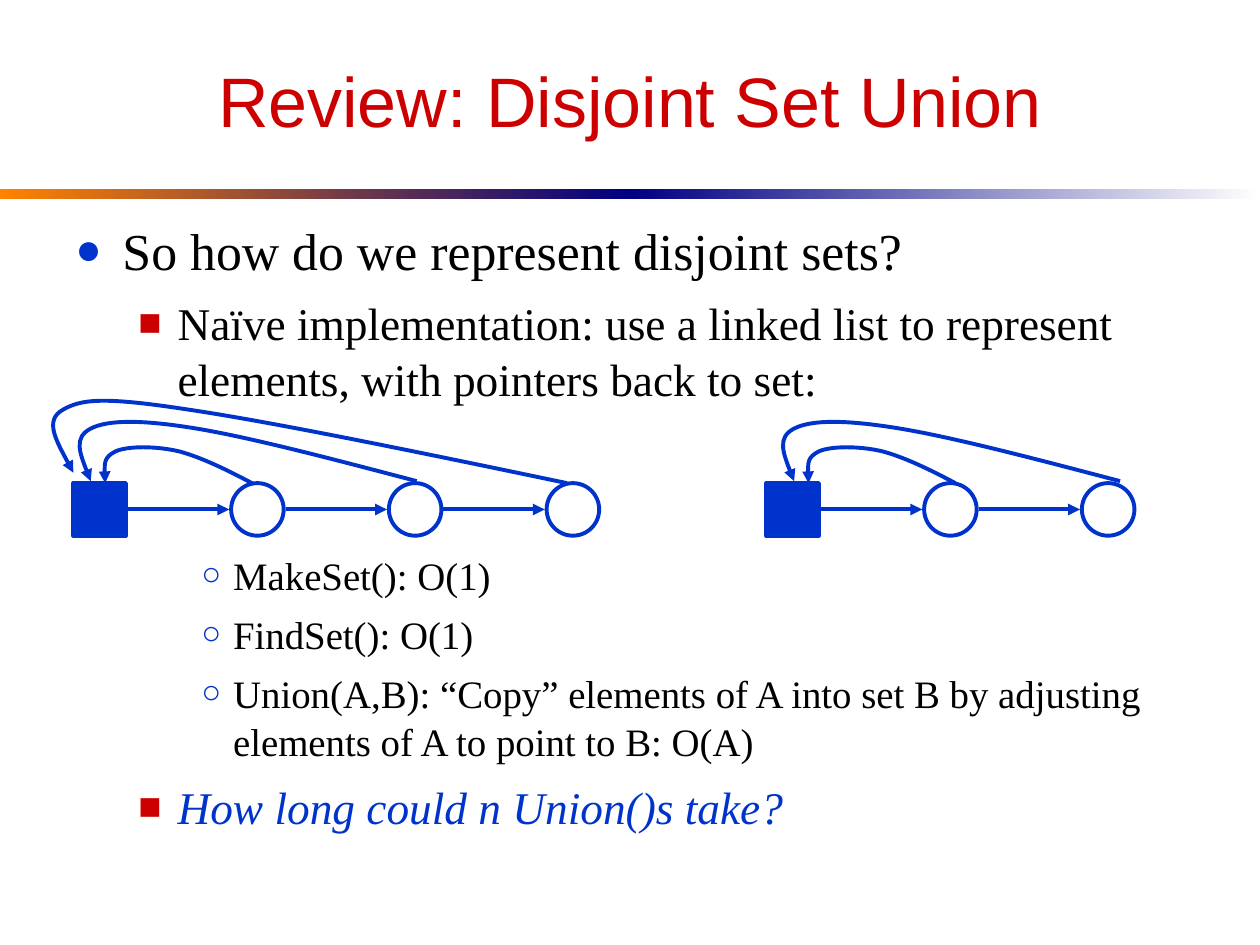
from pptx import Presentation
from pptx.dml.color import RGBColor
from pptx.enum.shapes import MSO_CONNECTOR, MSO_SHAPE
from pptx.enum.text import MSO_ANCHOR, PP_ALIGN
from pptx.oxml.ns import qn
from pptx.util import Cm, Pt
from lxml.etree import SubElement

COLORS = {"blue": "0033CC", "red": "CC0000", "black": "000000",
          "white": "FFFFFF", "navy": "000082", "orange": "FF8200"}
TITLE = "Review: Disjoint Set Union"
LEVELS = [
    {"size": 29.6, "left": 0.95, "hang": 0.95, "before": 8, "bullet": "●", "color": "blue"},
    {"size": 25.9, "left": 2.06, "hang": 0.79, "before": 7, "bullet": "■", "color": "red"},
    {"size": 22.2, "left": 3.18, "hang": 0.64, "before": 6, "bullet": "○", "color": "blue"},
]
DIAGRAM_SPACE = 82
BODY = [
    (0, "So how do we represent disjoint sets?", {}),
    (1, "Naïve implementation: use a linked list to represent elements, "
        "with pointers back to set:", {}),
    (2, "MakeSet(): O(1)", {"before": DIAGRAM_SPACE}),
    (2, "FindSet(): O(1)", {}),
    (2, "Union(A,B): “Copy” elements of A into set B by adjusting "
        "elements of A to point to B: O(A)", {}),
    (1, "How long could n Union()s take?", {"font": "blue", "italic": True}),
]
BARS = [("orange", "navy"), ("navy", "white")]
BAR_TOP, BAR_WIDTH, BAR_HEIGHT = 3.81, 12.7, 0.2

NODE_SIZE, NODE_STEP, NODE_TOP, LINK_GAP = 1.06, 3.18, 9.74, 0.04
LINKED_LISTS = [{"left": 1.48, "elements": 3, "arc_shift": 0},
                {"left": 15.45, "elements": 2, "arc_shift": 14.18}]
BACK_POINTERS = [
    [(5.08, 9.74), (4.57, 9.47), (4.06, 9.22), (3.61, 9.1), (3.15, 8.99),
     (2.57, 8.99), (2.33, 9.1), (2.09, 9.22), (2.1, 9.47), (2.12, 9.74)],
    [(8.4, 9.7), (6.73, 9.26), (5.05, 8.82), (3.96, 8.64), (2.87, 8.46),
     (2.18, 8.46), (1.83, 8.64), (1.48, 8.82), (1.65, 9.26), (1.83, 9.7)],
    [(11.43, 9.74), (8.46, 9.12), (5.5, 8.51), (3.81, 8.26), (2.12, 8),
     (1.65, 8.04), (1.27, 8.26), (0.89, 8.47), (1.19, 8.99), (1.48, 9.53)],
]


def rgb(name):
    return RGBColor.from_string(COLORS[name])


def add_span(para, text, font, size, color, italic=False):
    span = para.add_run()
    span.text = text
    span.font.name = font
    span.font.size = Pt(size)
    span.font.color.rgb = rgb(color)
    span.font.italic = italic


def set_bullet(para, level):
    properties = para._p.get_or_add_pPr()
    properties.set("marL", str(Cm(level["left"])))
    properties.set("indent", str(-Cm(level["hang"])))
    color = SubElement(properties, qn("a:buClr"))
    SubElement(color, qn("a:srgbClr"), val=COLORS[level["color"]])
    SubElement(properties, qn("a:buSzPct"), val="85000")
    SubElement(properties, qn("a:buFont"), typeface="Times New Roman")
    SubElement(properties, qn("a:buChar"), char=level["bullet"])


def style_line(shape, arrow=False):
    shape.line.color.rgb = rgb("blue")
    shape.line.width = Pt(2.25)
    if arrow:
        SubElement(shape.line._get_or_add_ln(), qn("a:tailEnd"), type="triangle")


def add_title(page):
    title = page.shapes.title
    title.left, title.top, title.width, title.height = Cm(1.27), Cm(0.64), Cm(22.86), Cm(2.74)
    title.text_frame.vertical_anchor = MSO_ANCHOR.MIDDLE
    para = title.text_frame.paragraphs[0]
    para.alignment = PP_ALIGN.CENTER
    add_span(para, TITLE, "Arial", 40, "red")


def add_bars(page):
    for index, ends in enumerate(BARS):
        bar = page.shapes.add_shape(MSO_SHAPE.RECTANGLE, Cm(index * BAR_WIDTH), Cm(BAR_TOP),
                                    Cm(BAR_WIDTH), Cm(BAR_HEIGHT))
        bar.shadow.inherit = False
        bar.line.fill.background()
        bar.fill.gradient()
        bar.fill.gradient_angle = 0
        for stop, color, position in zip(bar.fill.gradient_stops, ends, (0, 1)):
            stop.color.rgb = rgb(color)
            stop.position = position


def add_body(page):
    box = page.shapes.add_textbox(Cm(1.27), Cm(4.23), Cm(22.86), Cm(12.06))
    frame = box.text_frame
    frame.word_wrap = True
    for index, (depth, text, extra) in enumerate(BODY):
        level = LEVELS[depth]
        para = frame.add_paragraph() if index else frame.paragraphs[0]
        para.level = depth
        para.line_spacing = 1.04
        para.space_before = Pt(extra.get("before", level["before"]))
        set_bullet(para, level)
        add_span(para, text, "Times New Roman", level["size"],
                 extra.get("font", "black"), extra.get("italic", False))


def add_node(page, kind, left, fill):
    node = page.shapes.add_shape(kind, Cm(left), Cm(NODE_TOP), Cm(NODE_SIZE), Cm(NODE_SIZE))
    node.shadow.inherit = False
    node.fill.solid()
    node.fill.fore_color.rgb = rgb(fill)
    style_line(node)


    return node


def add_link(page, left):
    middle = Cm(NODE_TOP + NODE_SIZE / 2)
    link = page.shapes.add_connector(MSO_CONNECTOR.STRAIGHT, Cm(left + NODE_SIZE + LINK_GAP),
                                     middle, Cm(left + NODE_STEP - LINK_GAP), middle)
    style_line(link, arrow=True)
    SubElement(link._element.spPr, qn("a:effectLst"))
    return link


def add_back_pointer(page, points, shift):
    places = [(Cm(x + shift), Cm(y)) for x, y in points]
    builder = page.shapes.build_freeform(*places[0])
    builder.add_line_segments(places[1:], close=False)
    curve = builder.convert_to_shape()
    curve.shadow.inherit = False
    curve.fill.background()
    style_line(curve, arrow=True)
    outline = next(curve._element.iter(qn("a:path")))
    segments = outline.findall(qn("a:lnTo"))
    for start in range(0, len(segments), 3):
        bezier = SubElement(outline, qn("a:cubicBezTo"))
        for segment in segments[start:start + 3]:
            bezier.append(segment[0])
            outline.remove(segment)


def add_linked_list(page, left, elements, arc_shift):
    head = add_node(page, MSO_SHAPE.RECTANGLE, left, "blue")
    for index in range(elements):
        add_node(page, MSO_SHAPE.OVAL, left + (index + 1) * NODE_STEP, "white")
    links = [add_link(page, left + index * NODE_STEP) for index in range(elements)]
    links[0].begin_connect(head, 3)
    for points in BACK_POINTERS[:elements]:
        add_back_pointer(page, points, arc_shift)


def main():
    deck = Presentation()
    deck.slide_width, deck.slide_height = Cm(25.4), Cm(19.05)
    page = deck.slides.add_slide(deck.slide_layouts[5])
    add_bars(page)
    add_title(page)
    add_body(page)
    for linked_list in LINKED_LISTS:
        add_linked_list(page, **linked_list)
    deck.save("out.pptx")


if __name__ == "__main__":
    main()
